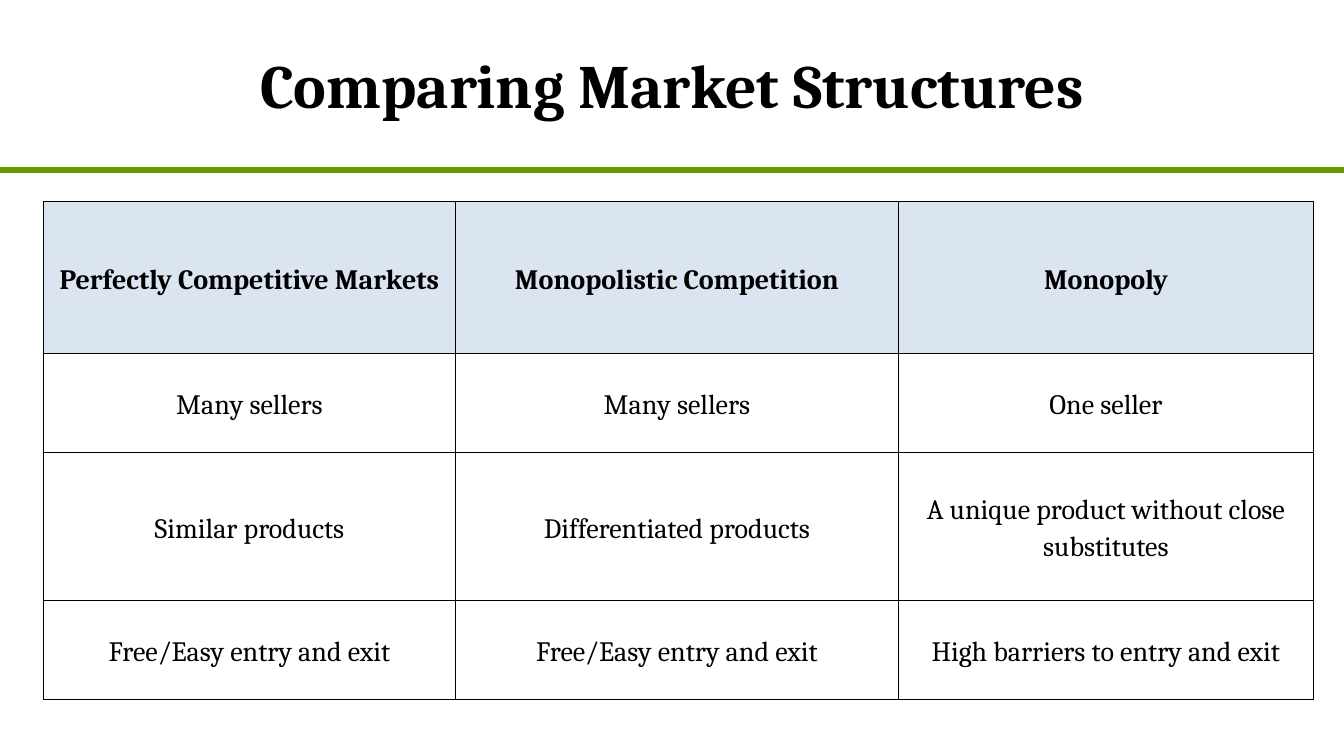
import pptx
import pptx.dml.color
import pptx.enum.shapes
import pptx.enum.text
import pptx.oxml.ns
import pptx.util
from lxml import etree
from pptx.util import Inches

FONT = "Cambria"
BLACK = "000000"
GREEN = "669900"
HEADER_FILL = "DBE5F1"

COLUMN_WIDTHS = [4.09, 4.39, 4.12]
ROW_HEIGHTS = [1.51, 0.98, 1.47, 0.98]
MARKETS = [
    ["Perfectly Competitive Markets", "Monopolistic Competition", "Monopoly"],
    ["Many sellers", "Many sellers", "One seller"],
    ["Similar products", "Differentiated products",
     "A unique product without close substitutes"],
    ["Free/Easy entry and exit", "Free/Easy entry and exit",
     "High barriers to entry and exit"],
]


def rgb(color):
    return pptx.dml.color.RGBColor.from_string(color)


def write_centred(tf, text, size, bold):
    tf.word_wrap = True
    tf.vertical_anchor = pptx.enum.text.MSO_ANCHOR.MIDDLE
    p = tf.paragraphs[0]
    p.text = text
    p.alignment = pptx.enum.text.PP_ALIGN.CENTER
    p.font.name = FONT
    p.font.size = pptx.util.Pt(size)
    p.font.bold = bold
    p.font.color.rgb = rgb(BLACK)
    return p


def add_rule(s, y, width, color, weight):
    line = s.shapes.add_connector(
        pptx.enum.shapes.MSO_CONNECTOR.STRAIGHT,
        Inches(0), Inches(y), Inches(width), Inches(y))
    line.line.color.rgb = rgb(color)
    line.line.width = pptx.util.Pt(weight)
    etree.SubElement(line._element.spPr, pptx.oxml.ns.qn("a:effectLst"))


def add_title(s, text):
    sp = s.shapes.add_textbox(Inches(0.67), Inches(0), Inches(12), Inches(1.67))
    write_centred(sp.text_frame, text, 44, True)


def set_borders(cell, color, weight):
    qn = pptx.oxml.ns.qn
    tc_pr = cell._tc.get_or_add_tcPr()
    for side in ("a:lnL", "a:lnR", "a:lnT", "a:lnB"):
        ln = etree.SubElement(tc_pr, qn(side), w=str(pptx.util.Pt(weight)))
        fill = etree.SubElement(ln, qn("a:solidFill"))
        etree.SubElement(fill, qn("a:srgbClr"), val=color)


def format_cell(cell, text, header):
    cell.margin_left = cell.margin_right = Inches(0.1)
    cell.margin_top = cell.margin_bottom = 0
    cell.vertical_anchor = pptx.enum.text.MSO_ANCHOR.MIDDLE
    p = write_centred(cell.text_frame, text, 20, header)
    p.line_spacing = 1.15
    # Borders come before the fill in the cell properties
    set_borders(cell, BLACK, 1)
    if header:
        cell.fill.solid()
        cell.fill.fore_color.rgb = rgb(HEADER_FILL)
    else:
        cell.fill.background()


def add_market_table(s):
    table = s.shapes.add_table(
        len(MARKETS), len(COLUMN_WIDTHS), Inches(0.43), Inches(2),
        Inches(sum(COLUMN_WIDTHS)), Inches(sum(ROW_HEIGHTS))).table
    table.horz_banding = False
    for column, width in zip(table.columns, COLUMN_WIDTHS):
        column.width = Inches(width)
    for i, (row, height) in enumerate(zip(table.rows, ROW_HEIGHTS)):
        row.height = Inches(height)
        for cell, text in zip(row.cells, MARKETS[i]):
            format_cell(cell, text, header=i == 0)


def main():
    prs = pptx.Presentation()
    prs.slide_width = Inches(13.33)
    prs.slide_height = Inches(7.5)
    s = prs.slides.add_slide(prs.slide_layouts[6])

    # Heading and the rule below it
    add_rule(s, 1.69, 13.33, GREEN, 4.5)
    add_title(s, "Comparing Market Structures")

    # Comparison table
    add_market_table(s)

    prs.save("out.pptx")


if __name__ == "__main__":
    main()
